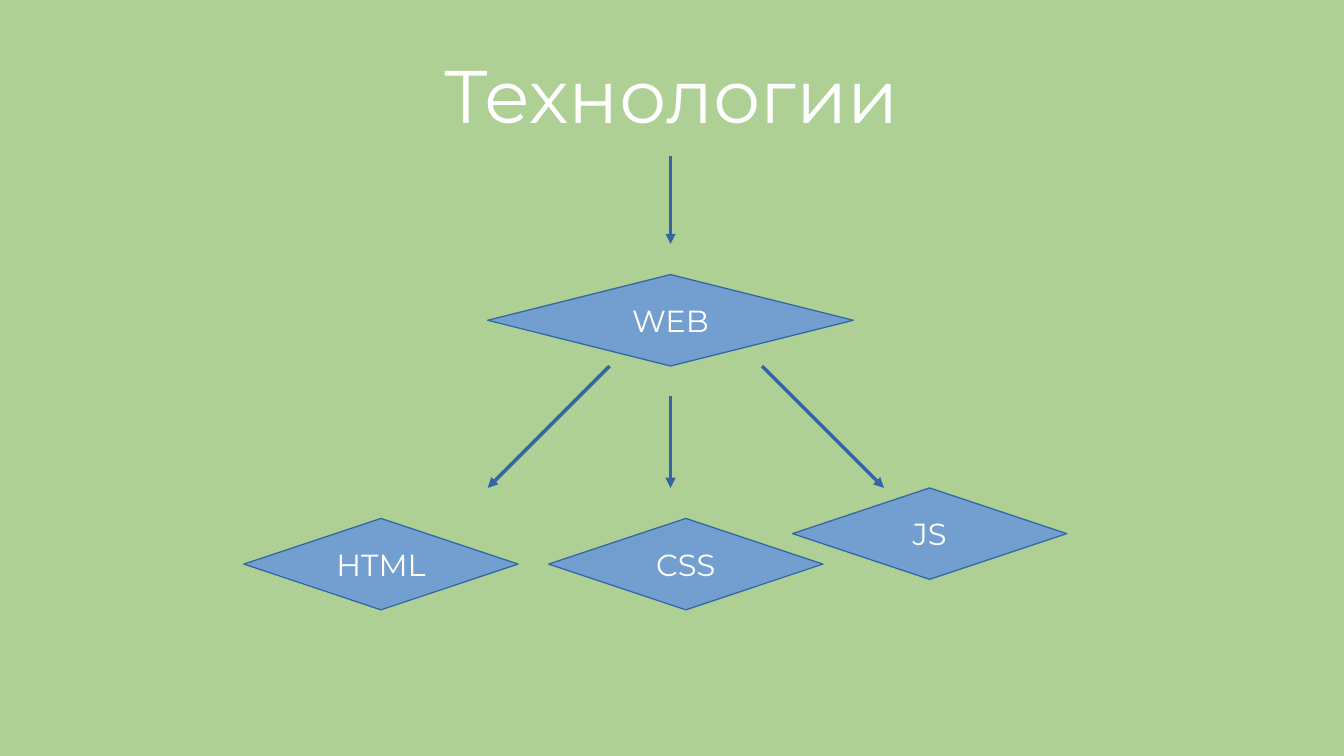
import lxml.etree
import pptx
import pptx.dml.color
import pptx.enum.shapes
import pptx.enum.text
import pptx.oxml.ns
import pptx.util
from pptx.util import Cm

GRID = Cm(2.54) / 4  # the diagram snaps to this step
FONT = "Montserrat"
BACKGROUND, FILL, LINE, WHITE = "AFD095", "729FCF", "3465A4", "FFFFFF"


def color(hex_string):
    return pptx.dml.color.RGBColor.from_string(hex_string)


def steps(count):
    return round(count * GRID)


def write_centered(shape, text, size):
    frame = shape.text_frame
    frame.word_wrap = True
    frame.vertical_anchor = pptx.enum.text.MSO_ANCHOR.MIDDLE
    paragraph = frame.paragraphs[0]
    paragraph.alignment = pptx.enum.text.PP_ALIGN.CENTER
    run = paragraph.add_run()
    run.text = text
    run.font.name = FONT
    run.font.size = pptx.util.Pt(size)
    run.font.color.rgb = color(WHITE)


def add_title(slide, text, left, top, width, height):
    shape = slide.shapes.add_textbox(left, top, width, height)
    frame = shape.text_frame
    frame.margin_left = frame.margin_right = 0
    frame.margin_top = frame.margin_bottom = 0
    write_centered(shape, text, 44)


def add_diamond(slide, text, left, top, width, height):
    shape = slide.shapes.add_shape(
        pptx.enum.shapes.MSO_SHAPE.DIAMOND, left, top, width, height)
    shape.shadow.inherit = False
    shape.fill.solid()
    shape.fill.fore_color.rgb = color(FILL)
    shape.line.color.rgb = color(LINE)
    shape.line.width = 0
    write_centered(shape, text, 18)


def add_arrow(slide, start_x, start_y, end_x, end_y):
    connector = slide.shapes.add_connector(
        pptx.enum.shapes.MSO_CONNECTOR.STRAIGHT, start_x, start_y, end_x, end_y)
    connector.line.color.rgb = color(LINE)
    connector.line.width = 0
    qualified = pptx.oxml.ns.qn
    lxml.etree.SubElement(
        connector.line._get_or_add_ln(), qualified("a:tailEnd"), type="triangle")
    lxml.etree.SubElement(connector._element.spPr, qualified("a:effectLst"))


def add_diagram(slide, left, top):
    # Arrows: start and end, in grid steps from the corner of the diagram
    for start_x, start_y, end_x, end_y in (
        (14, 0.12, 14, 3),
        (12, 7, 8, 11),
        (14, 8, 14, 11),
        (17, 7, 21, 11),
    ):
        add_arrow(slide, left + steps(start_x), top + steps(start_y),
                  left + steps(end_x), top + steps(end_y))

    # Diamonds: column, row and width, in grid steps
    for text, column, row, width in (
        ("WEB", 8, 4, 12),
        ("HTML", 0, 12, 9),
        ("CSS", 10, 12, 9),
        ("JS", 18, 11, 9),
    ):
        add_diamond(slide, text, left + steps(column), top + steps(row),
                    steps(width), steps(3))


def main():
    presentation = pptx.Presentation()
    presentation.slide_width = Cm(28)
    presentation.slide_height = Cm(15.75)
    slide = presentation.slides.add_slide(presentation.slide_layouts[6])
    slide.background.fill.solid()
    slide.background.fill.fore_color.rgb = color(BACKGROUND)

    add_title(slide, "Технологии", Cm(1.4), Cm(0.63), Cm(25.2), Cm(2.63))
    add_diagram(slide, Cm(5.08), Cm(3.18))
    presentation.save("out.pptx")


if __name__ == "__main__":
    main()
